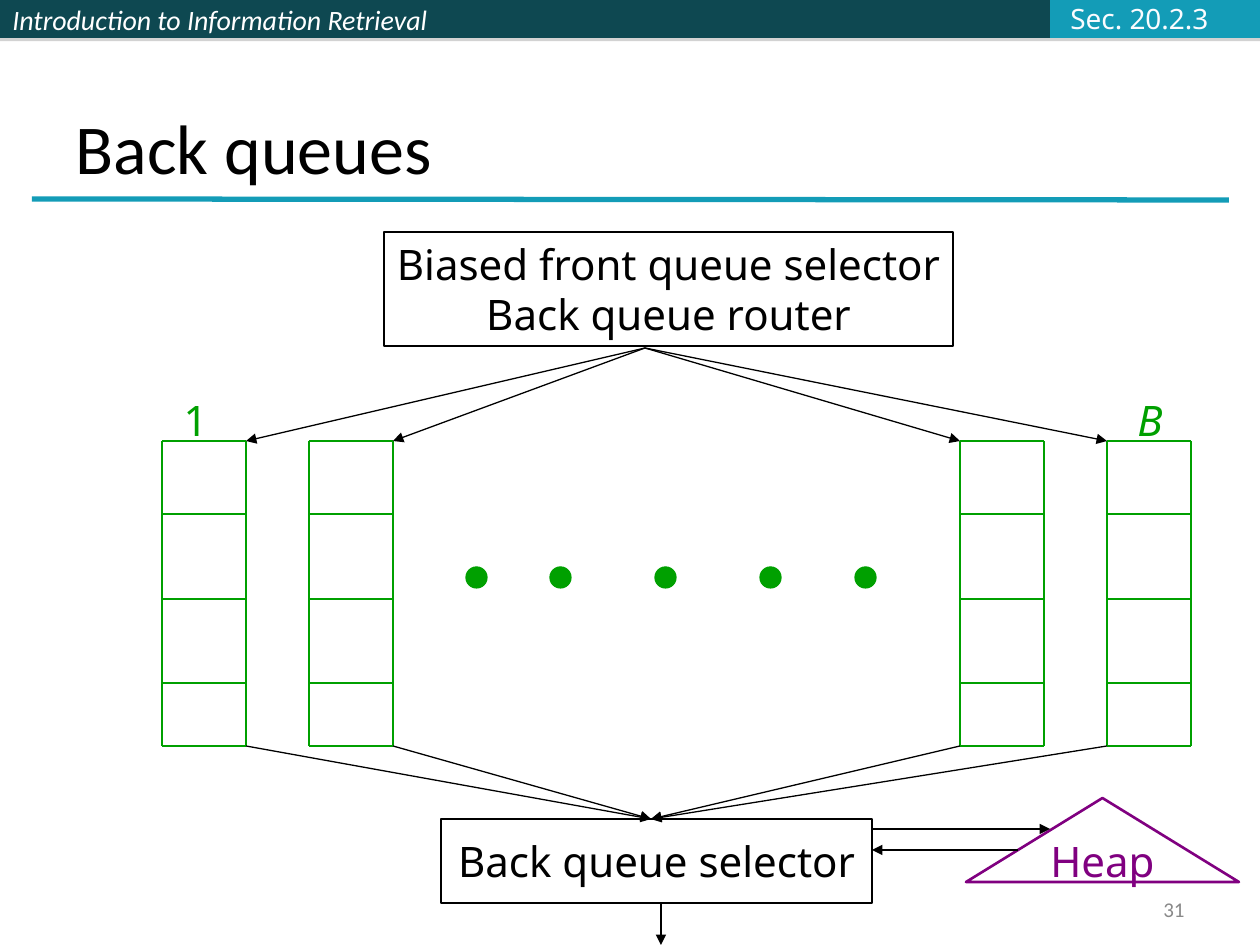
from lxml.etree import SubElement
from pptx import Presentation
from pptx.dml.color import RGBColor
from pptx.enum.shapes import MSO_CONNECTOR, MSO_SHAPE
from pptx.enum.text import MSO_ANCHOR, MSO_AUTO_SIZE, PP_ALIGN
from pptx.oxml.ns import qn
from pptx.util import Pt

EMU_PER_PX = 914400 / 126
BLACK, GREEN, PURPLE, DARK, TEAL = "000000", "00A000", "800080", "0E4851", "139CB7"
LEFT, CENTER, RIGHT = PP_ALIGN.LEFT, PP_ALIGN.CENTER, PP_ALIGN.RIGHT
TOP, MIDDLE, BOTTOM = MSO_ANCHOR.TOP, MSO_ANCHOR.MIDDLE, MSO_ANCHOR.BOTTOM

# Font formats: size, name, italic, colour
HEADER = dict(size=Pt(16), name="Calibri", italic=True, color="FFFFFF")
SECTION = dict(size=Pt(16), name="Noto Sans", color="FBFCFF")
TITLE = dict(size=Pt(40), name="Calibri", color=BLACK)
BODY = dict(size=Pt(24), name="Noto Sans", color=BLACK)
GREEN_BODY = {**BODY, "color": GREEN}
NUMBER = dict(size=Pt(12), name="Calibri", color="898989")

# Header bands: left, width, fill, text
BANDS = [
    (0, 514, DARK, "Introduction to Information Retrieval"),
    (514, 536, DARK, ""),
    (1050, 210, TEAL, ""),
]
BAND_HEIGHT = 38

# Outlined figures: preset, box, line colour, line width, lines of text
FIGURES = [
    (MSO_SHAPE.RECTANGLE, (384, 232, 569, 114), BLACK, 0.75,
     ["Biased front queue selector", "Back queue router"]),
    (MSO_SHAPE.RECTANGLE, (441, 819, 431, 84), BLACK, 0.75, ["Back queue selector"]),
    (MSO_SHAPE.ISOSCELES_TRIANGLE, (966, 798, 273, 84), PURPLE, 1.5, ["Heap"]),
]

# Labels: box, text, font, alignment, anchor
LABELS = [
    ((171, 388, 49, 63), "1", GREEN_BODY, RIGHT, TOP),
    ((1125, 388, 50, 63), "B", {**GREEN_BODY, "italic": True}, RIGHT, TOP),
    ((1058, -5, 163, 47), "Sec. 20.2.3", SECTION, LEFT, MIDDLE),
    ((903, 892, 294, 34), "31", NUMBER, RIGHT, MIDDLE),
]

QUEUE_LEFTS = [162, 309, 960, 1107]
QUEUE_WIDTH = 84
ROW_EDGES = [441, 514, 599, 683, 746]
DOT_LEFTS, DOT_TOP, DOT_SIZE = [466, 550, 655, 760, 855], 567, 21
ROUTER_EXIT, SELECTOR_ENTRY = (645, 348), (651, 819)
ARROWS = [
    ((661, 903), (661, 945)),
    ((872, 829), (1050, 829)),
    ((1018, 850), (872, 850)),
]


def px(value):
    return round(value * EMU_PER_PX)


def rgb(color):
    return RGBColor.from_string(color)


def write(shape, lines, font, align=LEFT, anchor=MIDDLE, wrap=False):
    frame = shape.text_frame
    frame_format = dict(word_wrap=wrap, vertical_anchor=anchor, auto_size=MSO_AUTO_SIZE.NONE)
    for name, value in frame_format.items():
        setattr(frame, name, value)
    for index, line in enumerate(lines):
        para = frame.add_paragraph() if index else frame.paragraphs[0]
        para.alignment = align
        span = para.add_run()
        span.text = line
        for name, value in font.items():
            if name == "color":
                span.font.color.rgb = rgb(value)
            else:
                setattr(span.font, name, value)


def add_figure(page, preset, box, fill=None, line=None, width=0.75):
    shape = page.shapes.add_shape(preset, *map(px, box))
    shape.shadow.inherit = False
    if fill:
        shape.fill.solid()
        shape.fill.fore_color.rgb = rgb(fill)
    else:
        shape.fill.background()
    if line:
        shape.line.color.rgb = rgb(line)
        shape.line.width = Pt(width)
    else:
        shape.line.fill.background()
    return shape


def add_line(page, start, end, color=BLACK, width=0.75, arrow=False):
    line = page.shapes.add_connector(MSO_CONNECTOR.STRAIGHT, *map(px, start + end))
    line.line.color.rgb = rgb(color)
    line.line.width = Pt(width)
    if arrow:
        SubElement(line.line._get_or_add_ln(), qn("a:tailEnd"), type="triangle")
    SubElement(line._element.spPr, qn("a:effectLst"))


def drop_shadow(shape):
    effects = shape._element.spPr.find(qn("a:effectLst"))
    shadow = SubElement(effects, qn("a:outerShdw"), dist=str(Pt(1.8)),
                        dir="5400000", rotWithShape="0")
    color = SubElement(shadow, qn("a:srgbClr"), val="808080")
    SubElement(color, qn("a:alpha"), val="35000")


def add_header(page):
    for left, width, fill, text in BANDS:
        band = add_figure(page, MSO_SHAPE.RECTANGLE, (left, 0, width, BAND_HEIGHT), fill)
        drop_shadow(band)
        if text:
            write(band, [text], HEADER, wrap=True)
    add_line(page, (32, 199), (1229, 200), TEAL, 3)


def add_title(page):
    title = page.shapes.title
    box = dict(left=63, top=38, width=1134, height=157)
    for name, value in box.items():
        setattr(title, name, px(value))
    write(title, ["Back queues"], TITLE, anchor=BOTTOM, wrap=True)


def add_queue(page, left):
    right = left + QUEUE_WIDTH
    for x in (left, right):
        add_line(page, (x, ROW_EDGES[0]), (x, ROW_EDGES[-1]), GREEN)
    for y in ROW_EDGES:
        add_line(page, (left, y), (right, y), GREEN)


def main():
    deck = Presentation()
    deck.slide_width, deck.slide_height = px(1260), px(945)
    page = deck.slides.add_slide(deck.slide_layouts[5])
    add_header(page)
    add_title(page)
    for preset, box, color, width, lines in FIGURES:
        figure = add_figure(page, preset, box, line=color, width=width)
        write(figure, lines, {**BODY, "color": color}, CENTER)

    for left in QUEUE_LEFTS:
        add_queue(page, left)
        # Arrows meet the queue corner that faces the middle of the slide
        corner = left + QUEUE_WIDTH if left < ROUTER_EXIT[0] else left
        add_line(page, ROUTER_EXIT, (corner, ROW_EDGES[0]), arrow=True)
        add_line(page, (corner, ROW_EDGES[-1]), SELECTOR_ENTRY, arrow=True)
    for left in DOT_LEFTS:
        add_figure(page, MSO_SHAPE.OVAL, (left, DOT_TOP, DOT_SIZE, DOT_SIZE), GREEN, GREEN)
    for start, end in ARROWS:
        add_line(page, start, end, arrow=True)
    for box, text, font, align, anchor in LABELS:
        label = page.shapes.add_textbox(*map(px, box))
        write(label, [text], font, align, anchor)
    deck.save("out.pptx")


if __name__ == "__main__":
    main()
